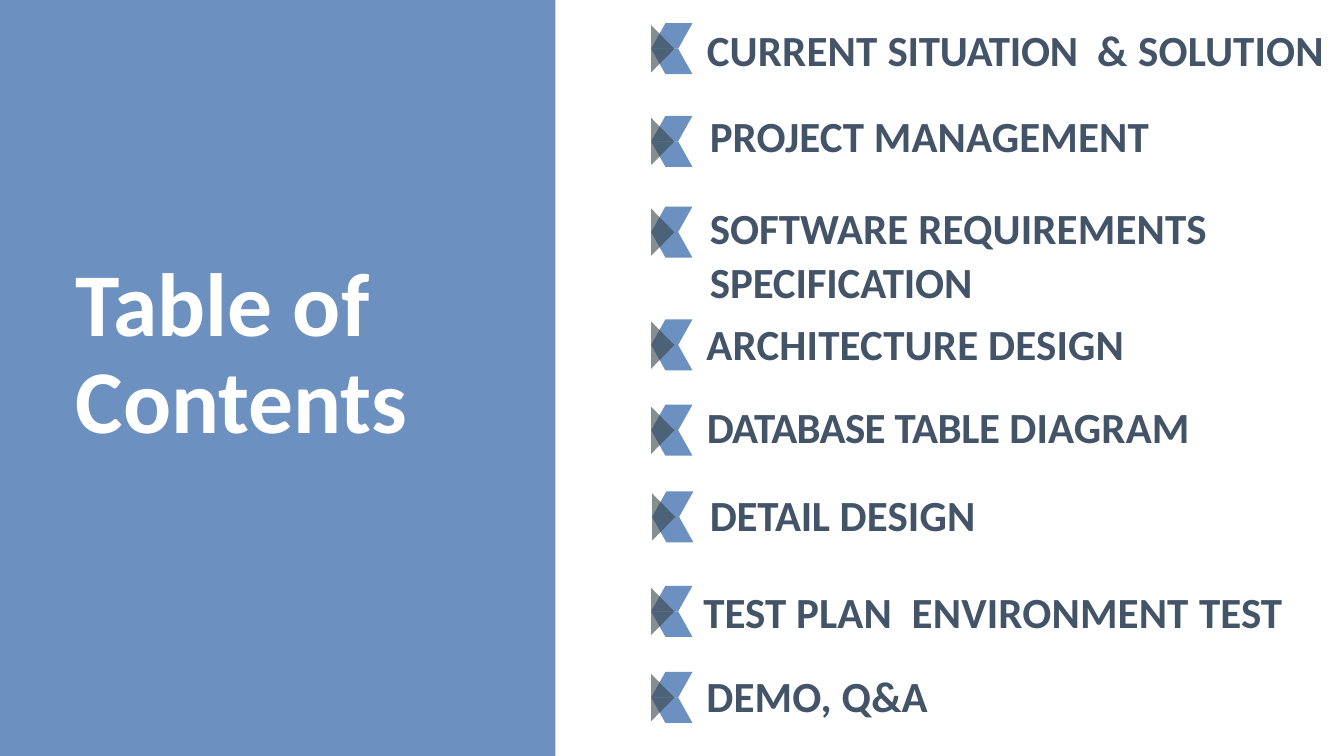
import pptx
import pptx.util
import pptx.dml.color
import pptx.enum.shapes
import pptx.enum.text
import pptx.oxml

Pt = pptx.util.Pt
SHAPE = pptx.enum.shapes.MSO_SHAPE
ANCHOR = pptx.enum.text.MSO_ANCHOR
FIT = pptx.enum.text.MSO_AUTO_SIZE
BLUE = pptx.dml.color.RGBColor(0x5E, 0x85, 0xB9)
DARK = pptx.dml.color.RGBColor(0x38, 0x44, 0x4A)
SLATE = pptx.dml.color.RGBColor(0x43, 0x53, 0x68)
WHITE = pptx.dml.color.RGBColor(0xFF, 0xFF, 0xFF)
A_NS = "http://schemas.openxmlformats.org/drawingml/2006/main"


def add_run(p, text, size=30.7, color=SLATE, spc=0):
    r = p.add_run()
    r.text = text
    r.font.name = "Calibri"
    r.font.size = Pt(size)
    r.font.bold = True
    r.font.color.rgb = color
    if spc:
        r.font._element.set("spc", str(round(spc * 100)))


def add_shape(shapes, kind, x, y, w, h, color, alpha):
    sp = shapes.add_shape(kind, Pt(x), Pt(y), Pt(w), Pt(h))
    sp.shadow.inherit = False
    sp.line.fill.background()
    sp.fill.solid()
    sp.fill.fore_color.rgb = color
    clr = sp._element.spPr.find(f".//{{{A_NS}}}srgbClr")
    clr.append(pptx.oxml.parse_xml(f'<a:alpha xmlns:a="{A_NS}" val="{alpha * 1000}"/>'))
    return sp


prs = pptx.Presentation()
prs.slide_width, prs.slide_height = Pt(960), Pt(540)
s = prs.slides.add_slide(prs.slide_layouts[5])

# Side panel, behind the title
panel = add_shape(s.shapes, SHAPE.RECTANGLE, 0, 0, 396.7, 540, BLUE, 91)
s.shapes._spTree.insert(2, panel._element)

# Title
title = s.shapes.title
title.left, title.top, title.width, title.height = Pt(44.6), Pt(175.7), Pt(420.5), Pt(185)
tf = title.text_frame
tf.word_wrap = True
tf.auto_size = FIT.NONE
tf.vertical_anchor = ANCHOR.TOP
tf.margin_left = tf.margin_right = tf.margin_top = tf.margin_bottom = Pt(9.6)
p = tf.paragraphs[0]
p.alignment = pptx.enum.text.PP_ALIGN.LEFT
p.line_spacing = 0.9
add_run(p, "Table of", size=64, color=WHITE)
p.add_line_break()
add_run(p, "Contents", size=64, color=WHITE)

# Contents: icon left and top, text box, fitted to text, line spacing,
# paragraphs of (text, letter spacing)
items = [
    (465.1, 16.6, (493.9, 10.8, 495.4, 48.2), False, 1.02,
     [[("CURRENT ", 0.1), ("SITUATION  ", -0.2), ("& ", 0.3), ("SOLUTION", 0.1)]]),
    (465.1, 82.8, (496.1, 72.7, 369.4, 48.2), False, 1,
     [[("PROJECT ", 0), ("MANAGEMENT", 0.1)]]),
    (465.1, 147.6, (496.1, 157, 614.9, 48.2), False, 1.02,
     [[("SOFTWARE ", 0), ("REQUIREMENTS", 0.1)], [("SPECIFICATION", -0.1)]]),
    (465.1, 228.2, (496.1, 223.2, 316.1, 44.6), True, 1,
     [[("ARCHITECTURE DESIGN", 0.1)]]),
    (465.1, 289.1, (493.9, 280.8, 420.5, 48.2), False, 1,
     [[("DATABASE ", -0.5), ("TABLE ", -0.3), ("DIAGRAM", 0.1)]]),
    (465.8, 351, (496.1, 343.4, 369.4, 48.2), False, 1,
     [[("DETAIL ", -0.2), ("DESIGN", 0.1)]]),
    (465.1, 418.5, (493.9, 414, 432.7, 45.4), True, 1.02,
     [[("TEST ", 0), ("PLAN  ENVIRONMENT ", 0.1), ("TEST", 0)]]),
    (465.1, 480, (496.1, 474.5, 174.2, 44.6), True, 1,
     [[("DEMO, Q&A", 0.1)]]),
]
for x, y, box, fitted, spacing, paragraphs in items:
    # Icon: two mirrored parallelograms under a triangle
    icon = s.shapes.add_group_shape()
    for dy in (0, 18.2):
        sp = add_shape(icon.shapes, SHAPE.PARALLELOGRAM, x, y + dy, 29.5, 18.2, BLUE, 91)
        sp.adjustments[0] = 0.56
        if dy:
            sp._element.spPr.xfrm.set("flipH", "1")
    sp = add_shape(icon.shapes, SHAPE.ISOSCELES_TRIANGLE, x - 8.6, y + 10, 33.8, 16.6, DARK, 60)
    sp.rotation = 90

    # Entry text
    tf = s.shapes.add_textbox(*[Pt(v) for v in box]).text_frame
    tf.word_wrap = not fitted
    if fitted:
        tf.auto_size = FIT.SHAPE_TO_FIT_TEXT
    else:
        tf.vertical_anchor = ANCHOR.MIDDLE
        tf.margin_left = tf.margin_right = tf.margin_top = tf.margin_bottom = Pt(9.6)
    for i, runs in enumerate(paragraphs):
        p = tf.add_paragraph() if i else tf.paragraphs[0]
        p.line_spacing = spacing
        p.space_before = Pt(1.7 if spacing == 1 else 1.1)
        p._p.get_or_add_pPr().set("marL", str(Pt(1.4)))
        for text, spc in runs:
            add_run(p, text, spc=spc)

prs.save("out.pptx")
